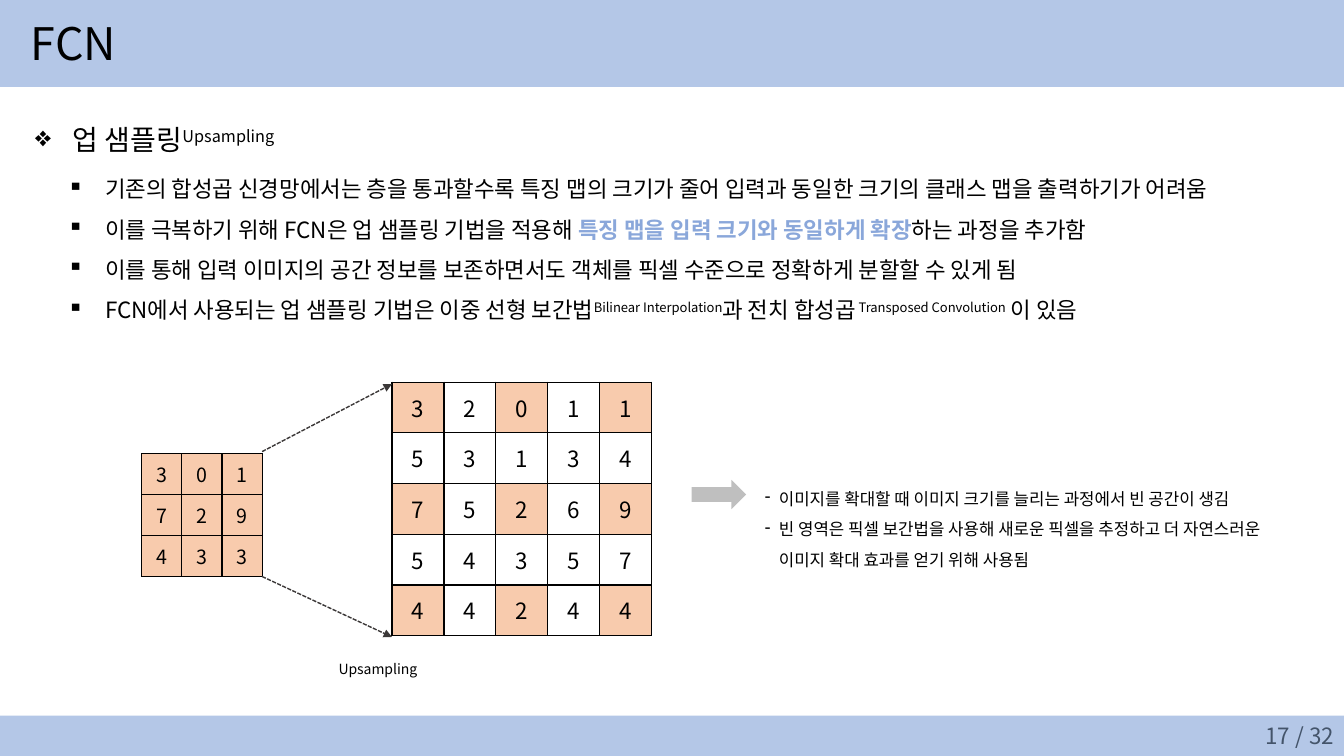
import pptx
import pptx.util
import pptx.dml.color
import pptx.enum.dml
import pptx.enum.shapes
import pptx.enum.text
import pptx.oxml
import pptx.oxml.ns
import lxml.etree

Pt = pptx.util.Pt
Kind = pptx.enum.shapes.MSO_SHAPE
Align = pptx.enum.text.PP_ALIGN
Middle = pptx.enum.text.MSO_ANCHOR.MIDDLE
rgb = pptx.dml.color.RGBColor.from_string
qn = pptx.oxml.ns.qn
FONT = "Noto Sans CJK KR"
COLORS = {"band": "B4C7E7", "ink": "000000", "key": "8AA7DA", "peach": "F8CBAD",
          "white": "FFFFFF", "dash": "3B3838", "arrow": "BFBFBF", "page": "44546A"}


def add_run(para, text, size, color="ink", bold=False, raised=False):
    run = para.add_run()
    run.text = text
    font = run.font
    font.name, font.size, font.bold = FONT, Pt(size), bold
    font.color.rgb = rgb(COLORS[color])
    props = run._r.get_or_add_rPr()
    lxml.etree.SubElement(props, qn("a:ea")).set("typeface", FONT)
    if raised:
        props.set("baseline", "30000")


def add_text(box, paras, size, mark=None, indent=0, spacing=1.0, color="ink"):
    shape = slide.shapes.add_textbox(*map(Pt, box))
    frame = shape.text_frame
    frame.word_wrap = False
    frame.auto_size = pptx.enum.text.MSO_AUTO_SIZE.SHAPE_TO_FIT_TEXT
    for i, runs in enumerate(paras):
        para = frame.paragraphs[0] if i == 0 else frame.add_paragraph()
        if mark:
            props = para._p.get_or_add_pPr()
            props.set("marL", str(Pt(indent)))
            props.set("indent", str(-Pt(indent)))
            lxml.etree.SubElement(props, qn("a:buChar")).set("char", mark)
        para.line_spacing = spacing
        for text, look in runs:
            if text == "\n":
                para.add_line_break()
            else:
                add_run(para, text, size, **{"color": color, **look})
    return frame


deck = pptx.Presentation()
deck.slide_width, deck.slide_height = Pt(960), Pt(540)
slide = deck.slides.add_slide(deck.slide_layouts[6])

# Header and footer bands, block arrow
for kind, box, color in [
    (Kind.RECTANGLE, (0, 0, 960, 62), "band"),
    (Kind.RECTANGLE, (0, 511.2, 960, 28.8), "band"),
    (Kind.RIGHT_ARROW, (494, 342.7, 39, 21), "arrow"),
]:
    shape = slide.shapes.add_shape(kind, *map(Pt, box))
    shape.shadow.inherit = False
    shape.fill.solid()
    shape.fill.fore_color.rgb = rgb(COLORS[color])
    shape.line.fill.background()

# Title, heading and bullets
small = {"raised": True}
add_text((15, 8, 84, 46), [[("FCN", {})]], 32)
add_text((18, 72, 205, 40), [[("업 샘플링", {}), ("Upsampling", small)]],
         20, "❖", 27, 1.5)
add_text((41, 112.3, 868, 121), [
    [("기존의 합성곱 신경망에서는 층을 통과할수록 특징 맵의 크기가 줄어 "
      "입력과 동일한 크기의 클래스 맵을 출력하기가 어려움", {})],
    [("이를 극복하기 위해 FCN은 업 샘플링 기법을 적용해 ", {}),
     ("특징 맵을 입력 크기와 동일하게 확장", {"color": "key", "bold": True}),
     ("하는 과정을 추가함", {})],
    [("이를 통해 입력 이미지의 공간 정보를 보존하면서도 객체를 픽셀 수준으로 "
      "정확하게 분할할 수 있게 됨", {})],
    [("FCN에서 사용되는 업 샘플링 기법은 이중 선형 보간법", {}),
     ("Bilinear Interpolation", small), ("과 전치 합성곱", {}),
     (" Transposed Convolution", small), (" 이 있음", {})],
], 16, "▪", 27, 1.5)

# Pixel grids: source pixels are peach, every step-th cell
for left, top, wide, high, size, step, rows in [
    (101.2, 324, 28.7, 29.3, 14, 1, ["301", "729", "433"]),
    (280, 273, 37.1, 36.2, 16, 2, ["32011", "53134", "75269", "54357", "44244"]),
]:
    count = len(rows)
    grid = slide.shapes.add_table(count, count, Pt(left), Pt(top),
                                  Pt(wide * count), Pt(high * count)).table
    grid.first_row = grid.horz_banding = False
    for i, row in enumerate(rows):
        grid.rows[i].height, grid.columns[i].width = Pt(high), Pt(wide)
        for j, digit in enumerate(row):
            cell = grid.cell(i, j)
            cell.vertical_anchor = Middle
            para = cell.text_frame.paragraphs[0]
            para.alignment = Align.CENTER
            add_run(para, digit, size)
            props = cell._tc.get_or_add_tcPr()
            for side in ("lnL", "lnR", "lnT", "lnB"):
                edge = lxml.etree.SubElement(props, qn("a:" + side))
                edge.set("w", str(Pt(1)))
                fill = lxml.etree.SubElement(edge, qn("a:solidFill"))
                lxml.etree.SubElement(fill, qn("a:srgbClr")).set("val", COLORS["ink"])
            known = i % step == 0 and j % step == 0
            cell.fill.solid()
            cell.fill.fore_color.rgb = rgb(COLORS["peach" if known else "white"])

# Dashed arrows between the grids
for start, end in [(322.6, 274.3), (411.8, 455)]:
    link = slide.shapes.add_connector(pptx.enum.shapes.MSO_CONNECTOR.STRAIGHT,
                                      Pt(187.2), Pt(start), Pt(280), Pt(end))
    link.line.color.rgb = rgb(COLORS["dash"])
    link.line.width = Pt(1)
    link.line.dash_style = pptx.enum.dml.MSO_LINE.SQUARE_DOT
    tail = lxml.etree.SubElement(link.line._get_or_add_ln(), qn("a:tailEnd"))
    tail.set("type", "triangle")
    lxml.etree.SubElement(link._element.spPr, qn("a:effectLst"))

# Caption, notes on the result, page number
add_text((234.7, 468, 74, 19.4), [[("Upsampling", {})]], 10)
add_text((539.3, 338.4, 385, 70.6), [
    [("이미지를 확대할 때 이미지 크기를 늘리는 과정에서 빈 공간이 생김", {})],
    [("빈 영역은 픽셀 보간법을 사용해 새로운 픽셀을 추정하고 더 자연스러운", {}),
     ("\n", {}), ("이미지 확대 효과를 얻기 위해 사용됨", {})],
], 12, "-", 10, 1.5)
page = add_text((744.5, 511.2, 215.5, 28.8), [[("17 / 32", {})]], 16, color="page")
page.word_wrap = True
page.auto_size = pptx.enum.text.MSO_AUTO_SIZE.NONE
page.vertical_anchor = Middle
page.paragraphs[0].alignment = Align.RIGHT

deck.save("out.pptx")
